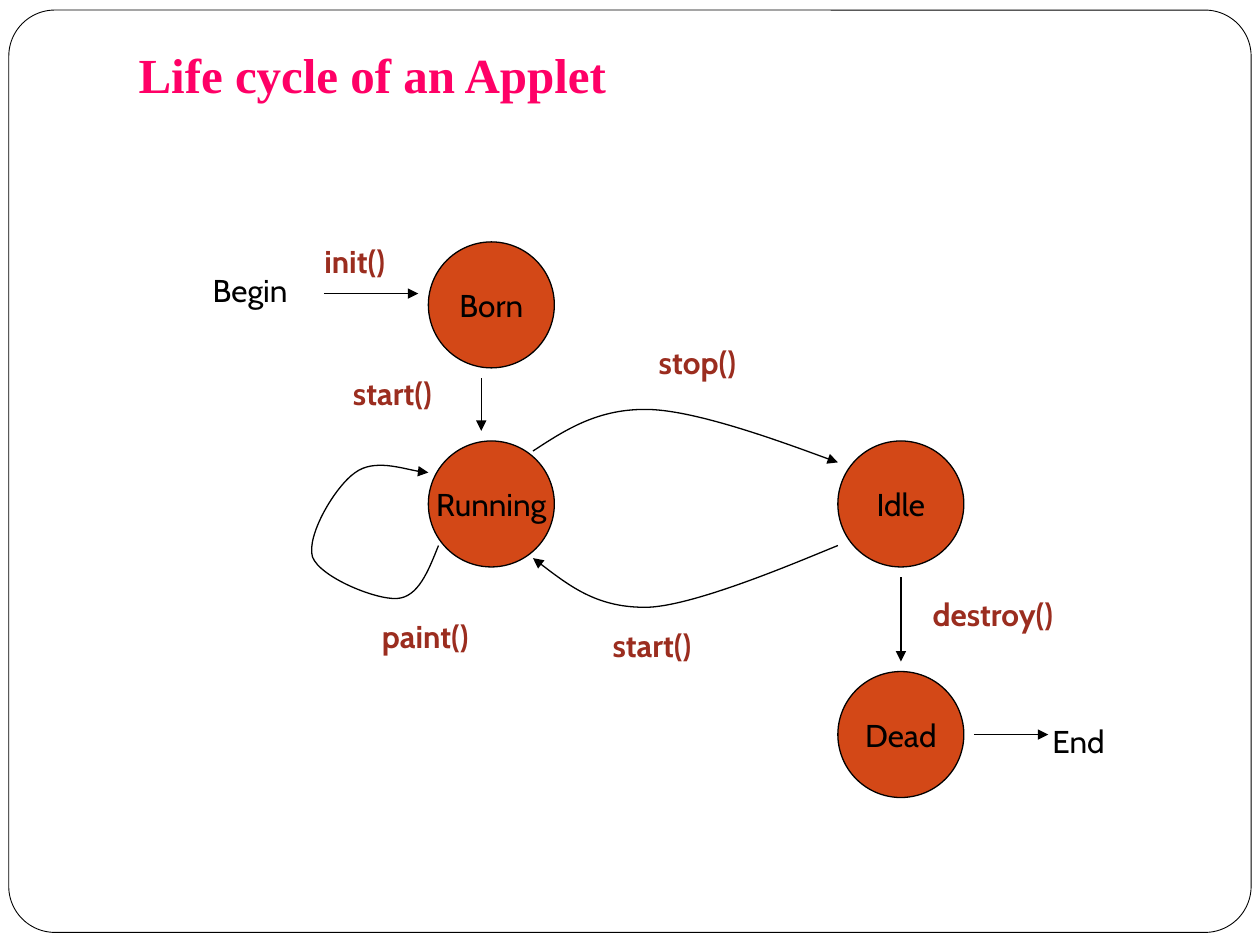
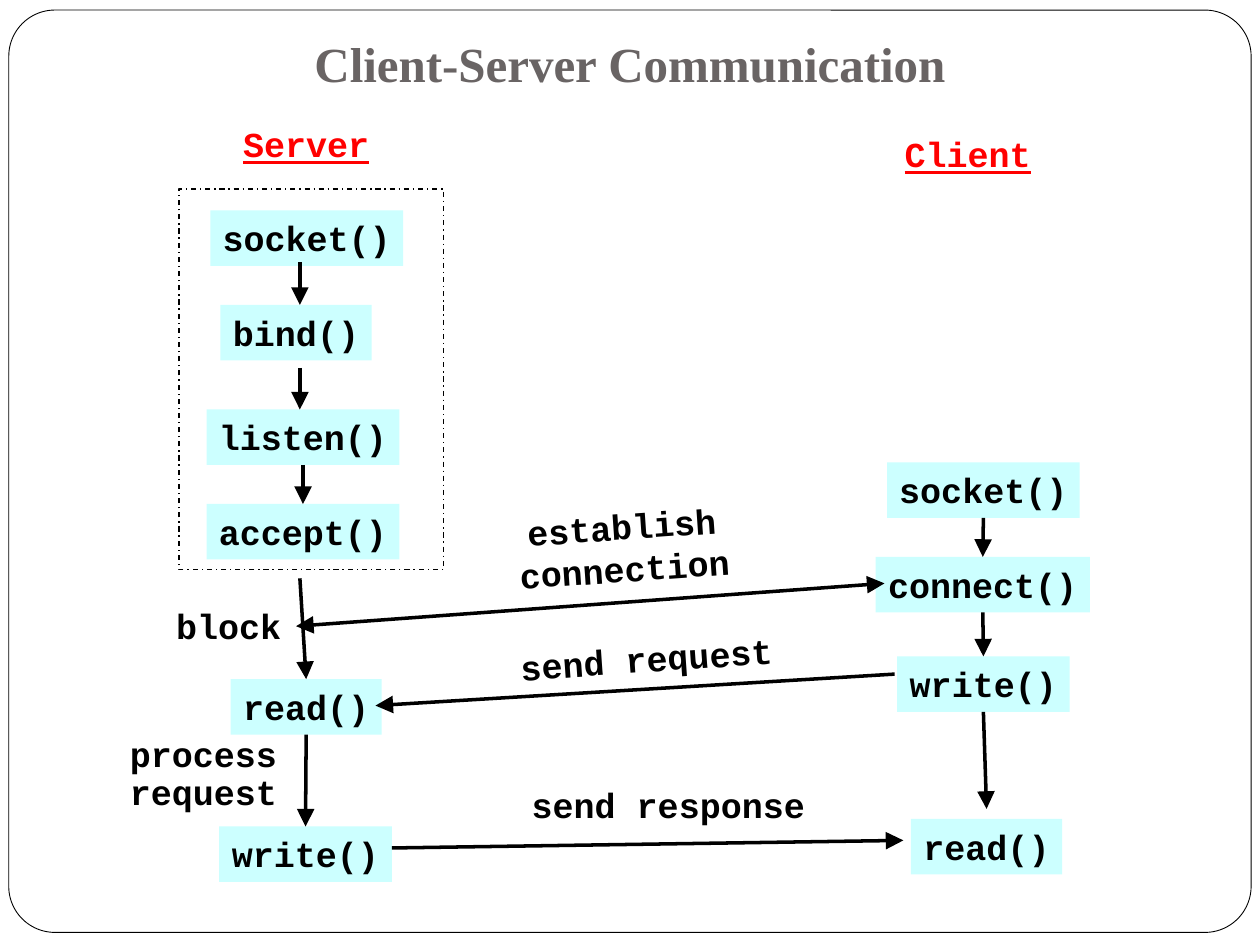
"""Build two slides: the applet life cycle and client-server communication."""
from dataclasses import dataclass

from lxml.etree import SubElement
from pptx import Presentation
from pptx.dml.color import RGBColor
from pptx.enum.dml import MSO_LINE
from pptx.enum.shapes import MSO_CONNECTOR, MSO_SHAPE
from pptx.enum.text import MSO_ANCHOR, MSO_AUTO_SIZE, PP_ALIGN
from pptx.oxml.ns import qn
from pptx.util import Emu, Pt

PX = 9144
BLACK, WHITE, RED = "000000", "FFFFFF", "FF0000"
PINK, GREY = "FF0066", "696464"
ORANGE, BROWN, CYAN = "D34817", "9B2D1F", "CCFFFF"
BOX_H = 44
STATE_SIZE = 100
TOP, BOTTOM = 0, 2


@dataclass(frozen=True)
class Style:
    font: str
    size: int
    bold: bool = False
    color: str = BLACK
    underline: bool = False


@dataclass(frozen=True)
class Node:
    text: str
    x: int
    y: int
    w: int = STATE_SIZE


@dataclass(frozen=True)
class Label:
    text: str
    x: int
    y: int
    w: int
    h: int
    style: Style
    rotation: int = 0
    spacing: float = 1.0


@dataclass(frozen=True)
class Arrow:
    x1: int
    y1: int
    x2: int
    y2: int
    begin: str = ""
    end: str = ""
    both: bool = False


@dataclass(frozen=True)
class Curve:
    points: tuple
    head: bool = False


STATE = Style("Cabin", 18)
METHOD = Style("Cabin", 18, True, BROWN)
CODE = Style("Courier New", 20, True)
HEADING = Style("Courier New", 20, True, RED, True)

STATES = (
    Node("Born", 340, 192),
    Node("Running", 340, 350),
    Node("Idle", 665, 350),
    Node("Dead", 665, 533),
)
STATE_LABELS = (
    Label("Begin", 155, 210, 87, 40, STATE),
    Label("init()", 242, 187, 79, 40, METHOD),
    Label("start()", 263, 292, 97, 40, METHOD),
    Label("paint()", 286, 485, 103, 40, METHOD),
    Label("stop()", 508, 267, 91, 40, METHOD),
    Label("start()", 469, 492, 97, 40, METHOD),
    Label("destroy()", 722, 467, 132, 40, METHOD),
    Label("End", 824, 568, 64, 40, STATE),
)
STATE_ARROWS = (
    Arrow(257, 233, 332, 233),
    Arrow(382, 300, 382, 342),
    Arrow(715, 458, 715, 525),
    Arrow(773, 583, 832, 583),
)
STATE_CURVES = (
    Curve(((423, 358), (449, 341), (475, 324), (515, 325),
           (555, 326), (640, 358), (665, 367))),
    Curve(((423, 443), (449, 463), (475, 483), (515, 482),
           (555, 480), (640, 443), (665, 433)), head=True),
    Curve(((348, 433), (340, 453), (332, 474), (315, 475),
           (298, 476), (254, 458), (248, 442),
           (243, 425), (266, 386), (282, 375),
           (297, 364), (330, 375), (340, 375))),
)

CALLS = {
    "server": (
        Node("socket()", 167, 167, 153),
        Node("bind()", 175, 242, 120),
        Node("listen()", 164, 325, 153),
        Node("accept()", 164, 400, 153),
        Node("read()", 183, 539, 120),
        Node("write()", 174, 656, 137),
    ),
    "client": (
        Node("socket()", 704, 367, 153),
        Node("connect()", 695, 442, 170),
        Node("write()", 712, 521, 137),
        Node("read()", 723, 650, 120),
    ),
}
CALL_LABELS = (
    Label("Server", 183, 92, 120, 44, HEADING),
    Label("Client", 708, 100, 120, 44, HEADING),
    Label("block", 126, 475, 111, 44, CODE),
    Label("process\nrequest", 91, 580, 141, 70, CODE, spacing=0.9),
    Label("establish\nconnection", 399, 396, 191, 77, CODE, rotation=356),
    Label("send request", 398, 501, 230, 44, CODE, rotation=356),
    Label("send response", 409, 617, 243, 44, CODE),
)
CALL_ARROWS = (
    Arrow(238, 208, 238, 242),
    Arrow(238, 292, 238, 325),
    Arrow(238, 367, 238, 400, "server listen()", "server accept()"),
    Arrow(238, 459, 240, 539, end="server read()"),
    Arrow(238, 582, 240, 653, "server read()", "server write()"),
    Arrow(777, 409, 777, 442, "client socket()", "client connect()"),
    Arrow(777, 484, 777, 518, "client connect()", "client write()"),
    Arrow(777, 564, 783, 642, begin="client write()"),
    Arrow(702, 463, 235, 497, both=True),
    Arrow(710, 535, 298, 560),
    Arrow(311, 673, 717, 667),
)


def px(*lengths: int) -> list[Emu]:
    """Turn px lengths into EMU."""
    return [Emu(n * PX) for n in lengths]


def rgb(color: str) -> RGBColor:
    """Turn a hex string into a colour."""
    return RGBColor.from_string(color)


def set_line(sp, width: float, color: str = BLACK) -> None:
    """Give a shape or connector a solid line."""
    sp.line.color.rgb = rgb(color)
    sp.line.width = Pt(width)


def add_heads(sp, head: bool, tail: bool, size: str = "med") -> None:
    """Put triangle heads on the chosen ends of a line."""
    ln = sp.element.find(".//" + qn("a:ln"))
    for tag, wanted in (("a:headEnd", head), ("a:tailEnd", tail)):
        if wanted:
            SubElement(ln, qn(tag), type="triangle", w=size, len=size)


def format_text(tf, text: str, style: Style, align=PP_ALIGN.CENTER, spacing: float = 1.0) -> None:
    """Write text and format every paragraph and run."""
    tf.text = text
    for p in tf.paragraphs:
        p.alignment = align
        p.line_spacing = spacing
        for r in p.runs:
            r.font.name, r.font.size = style.font, Pt(style.size)
            r.font.bold, r.font.underline = style.bold, style.underline
            r.font.color.rgb = rgb(style.color)


def add_shape(slide, kind, x: int, y: int, w: int, h: int, fill: str = "", line: float = 0):
    """Add a preset shape without a shadow."""
    sp = slide.shapes.add_shape(kind, *px(x, y, w, h))
    sp.shadow.inherit = False
    if fill:
        sp.fill.solid()
        sp.fill.fore_color.rgb = rgb(fill)
    else:
        sp.fill.background()
    if line:
        set_line(sp, line)
    else:
        sp.line.fill.background()
    return sp


def add_node(slide, node: Node, kind, h: int, fill: str, line: float, style: Style, anchor):
    """Add a filled shape with its name."""
    sp = add_shape(slide, kind, node.x, node.y, node.w, h, fill, line)
    tf = sp.text_frame
    tf.word_wrap = False
    tf.vertical_anchor = anchor
    format_text(tf, node.text, style)
    return sp


def add_label(slide, label: Label) -> None:
    """Add a text box that fits its text."""
    sp = slide.shapes.add_textbox(*px(label.x, label.y, label.w, label.h))
    sp.rotation = label.rotation
    tf = sp.text_frame
    tf.word_wrap = False
    tf.auto_size = MSO_AUTO_SIZE.SHAPE_TO_FIT_TEXT
    format_text(tf, label.text, label.style, spacing=label.spacing)


def add_arrow(slide, arrow: Arrow, width: float, boxes: dict, size: str = "med") -> None:
    """Add a straight arrow and join it to its boxes."""
    sp = slide.shapes.add_connector(
        MSO_CONNECTOR.STRAIGHT, *px(arrow.x1, arrow.y1, arrow.x2, arrow.y2))
    if arrow.begin:
        sp.begin_connect(boxes[arrow.begin], BOTTOM)
    if arrow.end:
        sp.end_connect(boxes[arrow.end], TOP)
    set_line(sp, width)
    add_heads(sp, arrow.both, True, size)
    SubElement(sp.element.spPr, qn("a:effectLst"))


def add_curve(slide, curve: Curve) -> None:
    """Add an open outline of cubic curves with one arrowhead."""
    start, *rest = curve.points
    builder = slide.shapes.build_freeform(*start, scale=float(PX))
    builder.add_line_segments(rest, close=False)
    sp = builder.convert_to_shape()
    segments = list(sp.element.iter(qn("a:lnTo")))
    for first, second, third in zip(segments[::3], segments[1::3], segments[2::3]):
        first.tag = qn("a:cubicBezTo")
        for segment in (second, third):
            first.append(segment[0])
            segment.getparent().remove(segment)
    sp.shadow.inherit = False
    sp.fill.background()
    set_line(sp, 0.75)
    add_heads(sp, curve.head, not curve.head)


def add_titled_slide(prs, title: str, box: tuple, color: str, align):
    """Add a title-only slide and format its title."""
    slide = prs.slides.add_slide(prs.slide_layouts[5])
    sp = slide.shapes.title
    sp.left, sp.top, sp.width, sp.height = px(*box)
    tf = sp.text_frame
    tf.vertical_anchor = MSO_ANCHOR.BOTTOM
    tf.auto_size = MSO_AUTO_SIZE.NONE
    tf.margin_left, tf.margin_top, tf.margin_right, tf.margin_bottom = px(10, 5, 10, 10)
    format_text(tf, title, Style("Times New Roman", 28, True, color), align)
    return slide


def add_shared_frame(slide) -> None:
    """Place the rounded frame on the layout behind every title."""
    sp = add_shape(slide, MSO_SHAPE.ROUNDED_RECTANGLE, 7, 8, 986, 732, WHITE, 0.5)
    sp.adjustments[0] = 0.05
    slide.slide_layout.shapes.element.insert(2, sp.element)


def build_life_cycle(prs) -> None:
    """Draw the states of an applet."""
    slide = add_titled_slide(prs, "Life cycle of an Applet", (100, 33, 850, 59), PINK, PP_ALIGN.LEFT)
    add_shared_frame(slide)
    for node in STATES:
        add_node(slide, node, MSO_SHAPE.OVAL, STATE_SIZE, ORANGE, 0.75, STATE, MSO_ANCHOR.MIDDLE)
    for arrow in STATE_ARROWS:
        add_arrow(slide, arrow, 0.75, {})
    for curve in STATE_CURVES:
        add_curve(slide, curve)
    for label in STATE_LABELS:
        add_label(slide, label)


def build_client_server(prs) -> None:
    """Draw the socket calls of server and client."""
    slide = add_titled_slide(
        prs, "Client-Server Communication", (25, 25, 950, 58), GREY, PP_ALIGN.CENTER)
    boxes = {
        f"{side} {node.text}": add_node(
            slide, node, MSO_SHAPE.RECTANGLE, BOX_H, CYAN, 0, CODE, MSO_ANCHOR.TOP)
        for side, nodes in CALLS.items() for node in nodes
    }
    setup = add_shape(slide, MSO_SHAPE.RECTANGLE, 142, 150, 210, 302, line=0.75)
    setup.line.dash_style = MSO_LINE.DASH_DOT
    for arrow in CALL_ARROWS:
        add_arrow(slide, arrow, 2, boxes, "lg")
    for label in CALL_LABELS:
        add_label(slide, label)


def main() -> None:
    """Build and save the slides."""
    prs = Presentation()
    prs.slide_width, prs.slide_height = px(1000, 750)
    build_life_cycle(prs)
    build_client_server(prs)
    prs.save("out.pptx")


if __name__ == "__main__":
    main()
